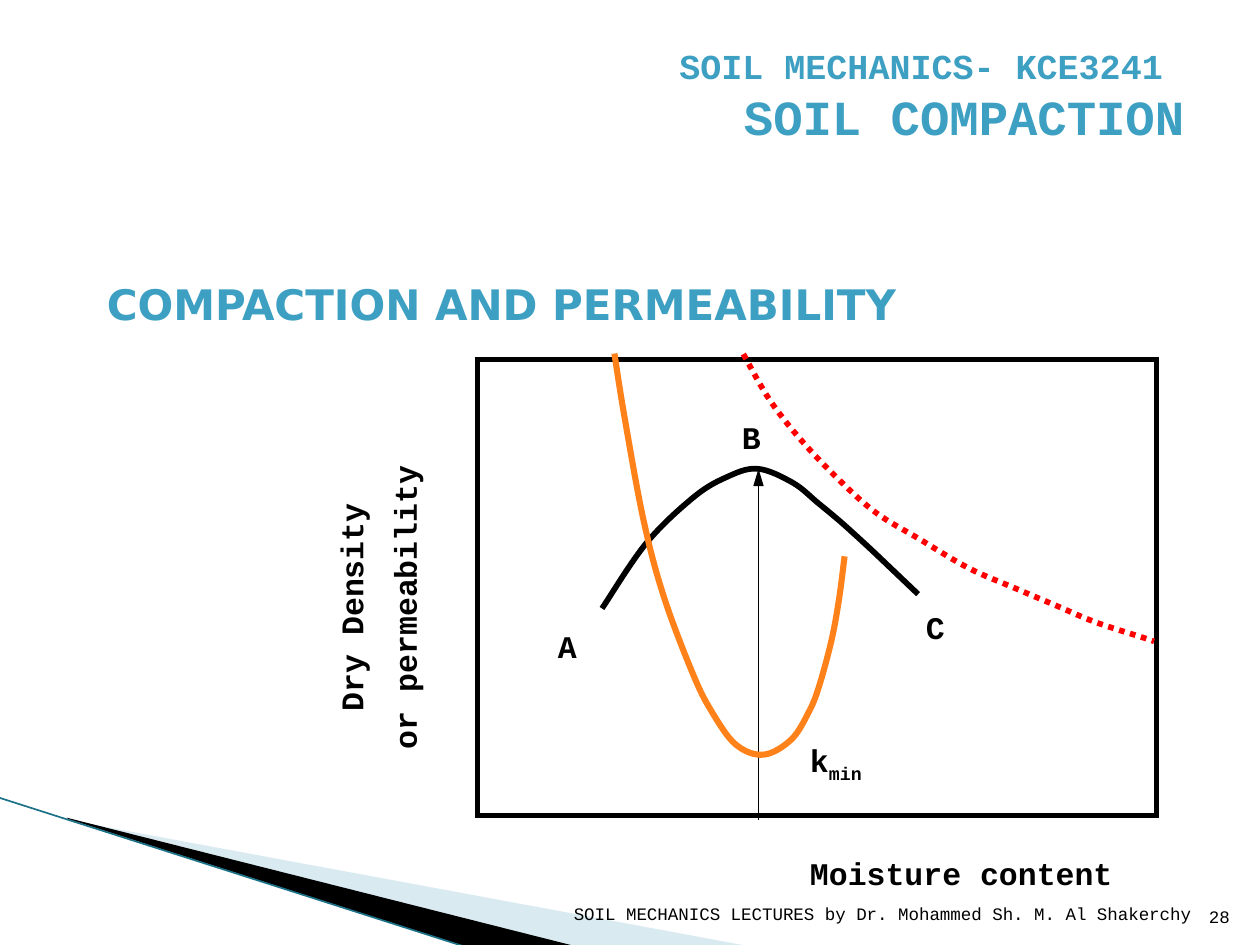
from lxml.etree import SubElement
from pptx import Presentation
from pptx.dml.color import RGBColor
from pptx.enum.dml import MSO_LINE
from pptx.enum.shapes import MSO_CONNECTOR, MSO_SHAPE
from pptx.enum.text import MSO_ANCHOR, MSO_AUTO_SIZE, PP_ALIGN
from pptx.oxml.ns import qn
from pptx.util import Pt

PX = 9144
MONO = "Courier New"
BLUE = "3DA0C2"
BLACK = "000000"

DENSE = [(479, 481), (513, 431), (550, 395), (576, 379), (601, 372),
         (629, 383), (649, 399), (667, 414), (688, 433), (706, 450),
         (727, 470)]
PERM = [(488, 283), (496, 333), (511, 414), (527, 474), (550, 535),
        (565, 565), (584, 591), (606, 599), (628, 587), (642, 565),
        (650, 545), (660, 508), (666, 475), (670, 444)]
VOID = [(590, 281), (610, 316), (633, 346), (661, 376), (694, 406),
        (730, 428), (769, 451), (806, 467), (839, 481), (870, 494),
        (907, 506), (916, 509)]


def emu(*vals):
    return [round(v * PX) for v in vals]


def color(code):
    return RGBColor.from_string(code)


def paint(shape, fill=None, line=None, width=1, dash=None, alpha=None,
          cap=None):
    shape.shadow.inherit = False
    if fill:
        shape.fill.solid()
        shape.fill.fore_color.rgb = color(fill)
        if alpha:
            tone = shape._element.spPr.find(".//" + qn("a:srgbClr"))
            SubElement(tone, qn("a:alpha"), val=str(alpha * 1000))
    else:
        shape.fill.background()
    if line:
        shape.line.color.rgb = color(line)
        shape.line.width = Pt(width)
        if dash:
            shape.line.dash_style = dash
        if cap:
            shape.line._get_or_add_ln().set("cap", cap)
    else:
        shape.line.fill.background()


def write(shape, lines, size=18, font=MONO, tint=BLACK, bold=True,
          align=PP_ALIGN.LEFT, anchor=MSO_ANCHOR.TOP, wrap=True, gap=0):
    frame = shape.text_frame
    frame.auto_size = MSO_AUTO_SIZE.NONE
    frame.word_wrap = wrap
    frame.vertical_anchor = anchor
    for i, parts in enumerate(lines):
        para = frame.add_paragraph() if i else frame.paragraphs[0]
        para.alignment = align
        para.space_before = Pt(gap if i else 0)
        for part in parts:
            text, big, base = part if isinstance(part, tuple) else (part, size, 0)
            if text == "\n":
                para.add_line_break()
                SubElement(para._p[-1], qn("a:rPr"), sz=str(big * 100))
                continue
            run = para.add_run()
            run.text = text
            run.font.size = Pt(big)
            run.font.name = font
            run.font.bold = bold
            run.font.color.rgb = color(tint)
            if base:
                run._r.get_or_add_rPr().set("baseline", str(base * 1000))


def label(slide, box, *lines, **form):
    write(slide.shapes.add_textbox(*emu(*box)), lines, **form)


def block(slide, box, **look):
    shape = slide.shapes.add_shape(MSO_SHAPE.RECTANGLE, *emu(*box))
    paint(shape, **look)
    return shape


def trace(slide, pts, close=False, **look):
    start, *rest = [emu(*p) for p in pts]
    pen = slide.shapes.build_freeform(*start)
    pen.add_line_segments(rest, close=close)
    shape = pen.convert_to_shape()
    paint(shape, **look)
    return shape


def dot(node, x, y):
    SubElement(node, qn("a:pt"), x=str(round(x)), y=str(round(y)))


def curve(slide, knots, **look):
    shape = trace(slide, knots, **look)
    left, top = shape.left, shape.top
    pts = [(x * PX - left, y * PX - top) for x, y in knots]
    ends = [pts[0], *pts, pts[-1]]
    legs = list(shape._element.iter(qn("a:lnTo")))
    for leg, a, b, c, d in zip(legs, ends, ends[1:], ends[2:], ends[3:]):
        bend = leg.makeelement(qn("a:cubicBezTo"))
        dot(bend, b[0] + (c[0] - a[0]) / 6, b[1] + (c[1] - a[1]) / 6)
        dot(bend, c[0] - (d[0] - b[0]) / 6, c[1] - (d[1] - b[1]) / 6)
        dot(bend, *c)
        leg.getparent().replace(leg, bend)


def wedge(slide, box, pts, **look):
    shape = trace(slide, pts, close=True, **look)
    left, top, width, height = emu(*box)
    for pt in shape._element.iter(qn("a:pt")):
        pt.set("x", str(int(pt.get("x")) + shape.left - left))
        pt.set("y", str(int(pt.get("y")) + shape.top - top))
    for track in shape._element.iter(qn("a:path")):
        track.set("w", str(width))
        track.set("h", str(height))
    shape.left, shape.top, shape.width, shape.height = left, top, width, height


def join(slide, start, end, tint, width, arrow=False):
    link = slide.shapes.add_connector(
        MSO_CONNECTOR.STRAIGHT, *emu(*start, *end))
    link.line.color.rgb = color(tint)
    link.line.width = Pt(width)
    if arrow:
        SubElement(link.line._get_or_add_ln(), qn("a:tailEnd"),
                   type="triangle", len="lg")
    SubElement(link._element.spPr, qn("a:effectLst"))


def sweep(slide):
    wedge(slide, (78, 547, 416, 158),
          [(55, 651), (595, 751), (456, 751), (55, 650)],
          fill="A0CBDC", alpha=40)
    wedge(slide, (-6, 633, 416, 92),
          [(53, 649), (457, 751), (372, 752), (54, 650)], fill=BLACK)
    join(slide, (-1, 633), (371, 752), "1B7187", 0.95)


def head(slide):
    title = slide.shapes.title
    title.left, title.top, title.width, title.height = emu(50, 30, 900, 125)
    write(title, [[("SOIL MECHANICS- KCE3241 ", 20, 0), ("\n", 28, 0),
                   ("SOIL COMPACTION", 28, 0)]],
          tint=BLUE, align=PP_ALIGN.RIGHT)
    label(slide, (62, 195, 672, 92), ["COMPACTION AND PERMEABILITY"],
          size=24, font="DejaVu Sans", tint=BLUE, align=PP_ALIGN.CENTER,
          anchor=MSO_ANCHOR.MIDDLE)


def graph(slide):
    plot = block(slide, (379, 285, 539, 362), line=BLACK, width=2.75)
    SubElement(plot.line._get_or_add_ln(), qn("a:miter"), lim="800000")
    curve(slide, VOID, line="FF0000", width=3.25, dash=MSO_LINE.ROUND_DOT)
    curve(slide, DENSE, line=BLACK, width=3.25, cap="sq")
    join(slide, (602, 651), (602, 372), BLACK, 1, arrow=True)
    axis = block(slide, (174, 439, 255, 86), fill="FFFFFF")
    axis.rotation = 270
    write(axis, [["Dry Density"], ["or permeability"]],
          align=PP_ALIGN.CENTER, gap=9)
    label(slide, (633, 673, 269, 45), ["Moisture content"])
    curve(slide, PERM, line="FF8119", width=3.5, cap="sq")
    for name, x, y in (("A", 433, 493), ("B", 579, 327), ("C", 725, 478)):
        label(slide, (x, y, 69, 45), [name])
    label(slide, (633, 583, 72, 45), ["k", ("min", 18, -25)], wrap=False,
          anchor=MSO_ANCHOR.MIDDLE)


def foot(slide):
    form = dict(size=10, bold=False, align=PP_ALIGN.RIGHT,
                anchor=MSO_ANCHOR.BOTTOM)
    label(slide, (946, 701, 40, 40), ["28"], **form)
    label(slide, (414, 688, 541, 50),
          ["SOIL MECHANICS LECTURES by Dr. Mohammed Sh. M. Al Shakerchy"],
          **form)


def main():
    deck = Presentation()
    deck.slide_width, deck.slide_height = emu(1000, 750)
    slide = deck.slides.add_slide(deck.slide_layouts[5])
    for part in (sweep, head, graph, foot):
        part(slide)
    deck.save("out.pptx")


if __name__ == "__main__":
    main()
